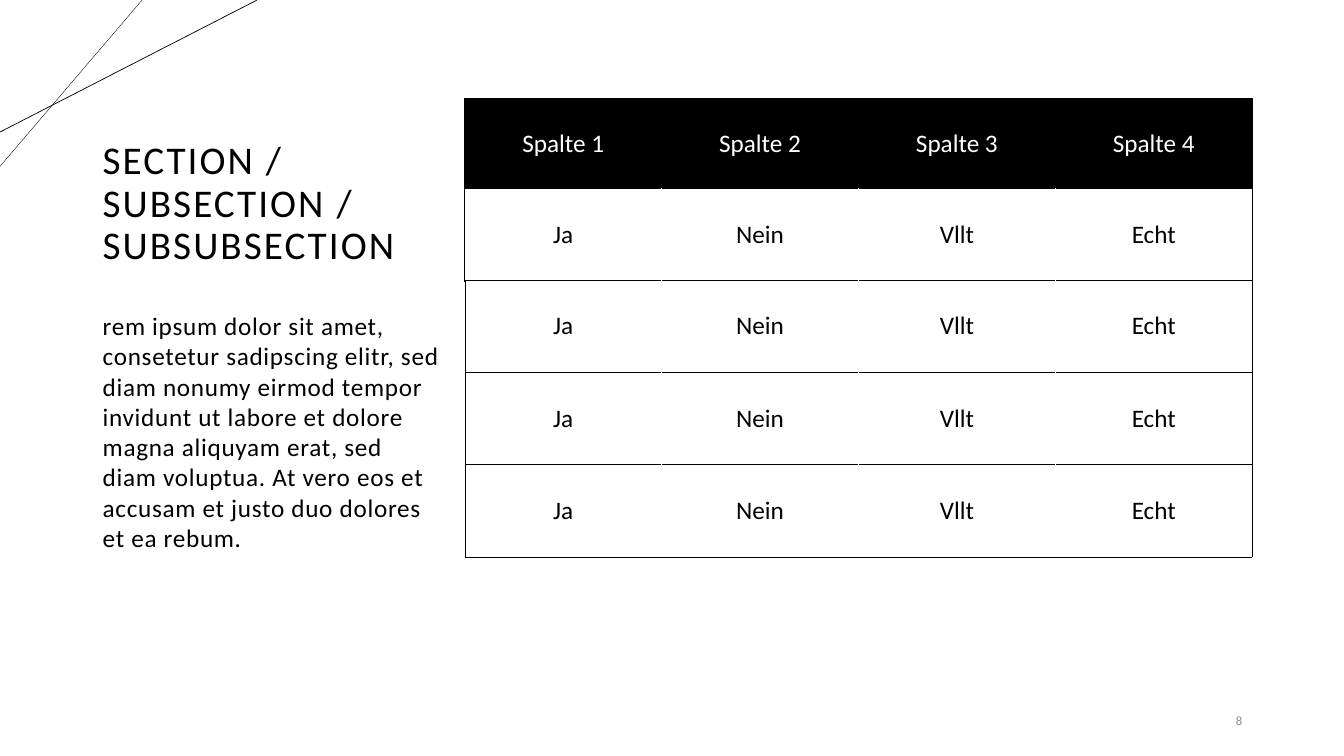
from pptx import Presentation
from pptx.dml.color import RGBColor
from pptx.enum.shapes import MSO_CONNECTOR as Link
from pptx.enum.text import MSO_ANCHOR as Anchor, PP_ALIGN as Align
from pptx.oxml.ns import qn
from pptx.util import Inches, Pt
from lxml.etree import SubElement

BLACK = RGBColor(0, 0, 0)
WHITE = RGBColor(255, 255, 255)
GRAY = RGBColor(0x8C, 0x8C, 0x8C)
FONT = "Calibri"

TITLE = "SECTION / SUBSECTION / SUBSUBSECTION"
BODY = ("rem ipsum dolor sit amet, consetetur sadipscing elitr, sed diam nonumy "
        "eirmod tempor invidunt ut labore et dolore magna aliquyam erat, sed diam "
        "voluptua. At vero eos et accusam et justo duo dolores et ea rebum.")
HEADS = ["Spalte 1", "Spalte 2", "Spalte 3", "Spalte 4"]
REPLY = ["Ja", "Nein", "Vllt", "Echt"]


def add_run(para, text, size, color, track=0):
    """Add a run; track is the letter spacing in points."""
    run = para.add_run()
    run.text = text
    run.font.name = FONT
    run.font.size = Pt(size)
    run.font.color.rgb = color
    if track:
        run.font._element.set("spc", str(int(track * 100)))


def add_text(slide, box, text, size, color, track=0, anchor=Anchor.MIDDLE,
             align=Align.LEFT, lead=1.0, top=0.05):
    frame = slide.shapes.add_textbox(*map(Inches, box)).text_frame
    frame.word_wrap = True
    frame.vertical_anchor = anchor
    frame.margin_top = Inches(top)
    para = frame.paragraphs[0]
    para.alignment = align
    para.line_spacing = lead
    add_run(para, text, size, color, track)


def add_line(slide, start, end, width):
    line = slide.shapes.add_connector(Link.STRAIGHT, *map(Inches, start + end))
    line.line.color.rgb = BLACK
    line.line.width = Pt(width)
    SubElement(line._element.spPr, qn("a:effectLst"))


def set_edge(cell, side, color, width):
    edge = SubElement(cell._tc.get_or_add_tcPr(), qn("a:ln" + side),
                      w=str(Pt(width)))
    fill = SubElement(edge, qn("a:solidFill"))
    SubElement(fill, qn("a:srgbClr"), val=str(color))


def add_grid(slide, box, rows, heights, rule, head=False):
    """Place a table with black outer edges and row rules of the given width."""
    table = slide.shapes.add_table(len(rows), len(rows[0]),
                                   *map(Inches, box)).table
    table.first_row = head
    table.horz_banding = False
    last = len(rows[0]) - 1
    for col in table.columns:
        col.width = Inches(box[2] / (last + 1))
    for r, (texts, height) in enumerate(zip(rows, heights)):
        table.rows[r].height = Inches(height)
        dark = head and r == 0
        ink, back = (WHITE, BLACK) if dark else (BLACK, WHITE)
        for c, text in enumerate(texts):
            cell = table.cell(r, c)
            for side, outer in (("L", c == 0), ("R", c == last),
                                ("T", True), ("B", True)):
                set_edge(cell, side, BLACK if outer else back,
                         rule if outer else 1)
            cell.fill.solid()
            cell.fill.fore_color.rgb = back
            cell.vertical_anchor = Anchor.MIDDLE
            para = cell.text_frame.paragraphs[0]
            para.alignment = Align.CENTER
            add_run(para, text, 18, ink)


def add_corner(slide, x, y):
    add_line(slide, (x + 1.41, y), (x, y + 1.65), 0.25)
    add_line(slide, (x + 2.55, y), (x, y + 1.31), 0.5)


def add_side(slide, x, y):
    add_text(slide, (x, y, 3.39, 2.1), TITLE, 28, BLACK, 1.5, lead=0.9)
    add_text(slide, (x, y + 2.1, 3.55, 3.54), BODY, 18, BLACK, 0.5,
             anchor=Anchor.TOP, top=0)


def add_tables(slide, x, y, width):
    """Place the headed table and the three single rows below it."""
    tall, step = (0.89, 0.92), 0.915
    add_grid(slide, (x, y, width, sum(tall)), [HEADS, REPLY], tall, 0.5, True)
    for i in range(3):
        top = y + 1.8 + i * step
        add_grid(slide, (x, top, width, step), [REPLY], [step], 0.43)


def main():
    deck = Presentation()
    deck.slide_width, deck.slide_height = Inches(13.33), Inches(7.5)
    slide = deck.slides.add_slide(deck.slide_layouts[6])
    add_corner(slide, 0, 0)
    add_side(slide, 0.92, 0.98)
    add_tables(slide, 4.61, 0.98, 7.81)
    add_text(slide, (11.34, 6.95, 1.08, 0.4), "8", 9, GRAY, align=Align.RIGHT)
    deck.save("out.pptx")


if __name__ == "__main__":
    main()
